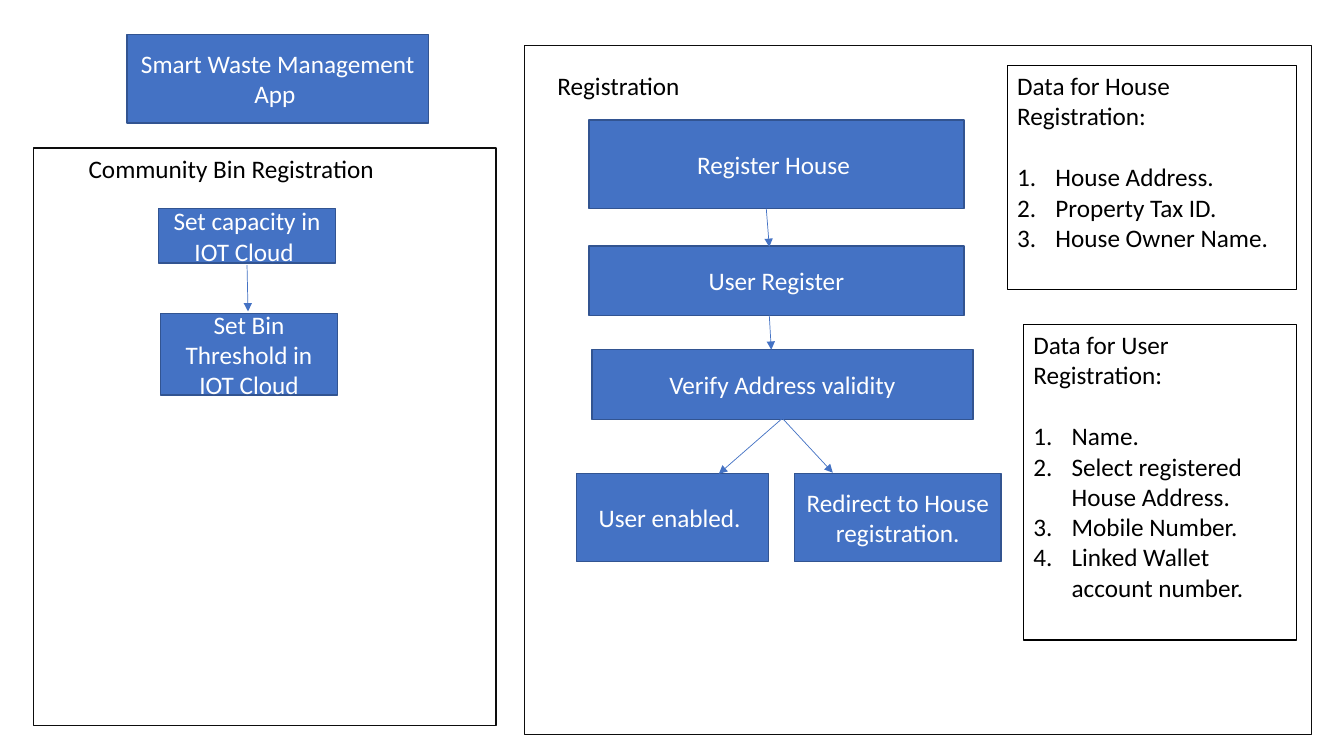
from lxml.etree import SubElement
from pptx import Presentation
from pptx.dml.color import RGBColor
from pptx.enum.shapes import MSO_CONNECTOR, MSO_SHAPE
from pptx.enum.text import MSO_ANCHOR, MSO_AUTO_SIZE, PP_ALIGN
from pptx.oxml.ns import qn
from pptx.util import Inches, Pt

BLUE = RGBColor(0x44, 0x72, 0xC4)
BLUE_EDGE = RGBColor(0x32, 0x54, 0x91)
FRAME_EDGE = RGBColor(0x0D, 0x0D, 0x0D)
BLACK = RGBColor(0, 0, 0)
WHITE = RGBColor(0xFF, 0xFF, 0xFF)

TITLE = ("Smart Waste Management App ", (1.26, 0.34, 2.99, 0.88))
FRAMES = [(5.2, 0.45, 7.81, 6.84), (0.33, 1.47, 4.59, 5.73)]
HEADINGS = [
    ("Registration ", (5.43, 0.65, 1.48, 0.4)),
    ("Community Bin Registration", (0.78, 1.47, 3.68, 0.4)),
]
STEPS = [
    ("Set capacity in IOT Cloud ", (1.57, 2.07, 1.76, 0.54)),
    ("Set Bin Threshold in IOT Cloud", (1.59, 3.11, 1.76, 0.81)),
    ("Register House ", (5.84, 1.19, 3.72, 0.88)),
    ("User Register", (5.84, 2.44, 3.72, 0.69)),
    ("Verify Address validity", (5.87, 3.47, 3.78, 0.69)),
    ("User enabled. ", (5.72, 4.7, 1.9, 0.87)),
    ("Redirect to House registration.", (7.88, 4.7, 2.05, 0.87)),
]
ARROWS = [
    (2.45, 2.63, 2.46, 3.09),
    (7.6, 2.07, 7.63, 2.45),
    (7.63, 3.13, 7.65, 3.47),
    (7.76, 4.15, 7.13, 4.7),
    (7.76, 4.15, 8.26, 4.69),
]
DATA_LISTS = [
    ("Data for House Registration:", (9.99, 0.65, 2.87, 2.22),
     ["House Address.", "Property Tax ID.", "House Owner Name."]),
    ("Data for User Registration:", (10.15, 3.22, 2.71, 3.13),
     ["Name.", "Select registered House Address.", "Mobile Number.",
      "Linked Wallet account number."]),
]


def set_values(target, values):
    for name, value in values.items():
        setattr(target, name, value)


def write(para, text, color, align=PP_ALIGN.LEFT):
    para.alignment = align
    span = para.add_run()
    span.text = text
    set_values(span.font, {"name": "Calibri", "size": Pt(18), "bold": False})
    span.font.color.rgb = color


def outline(box, color, width):
    box.line.color.rgb = color
    box.line.width = Pt(width)


def format_step(box, text):
    """Blue box with white centred text."""
    box.fill.solid()
    box.fill.fore_color.rgb = BLUE
    outline(box, BLUE_EDGE, 1)
    set_values(box.text_frame, {"word_wrap": True, "auto_size": MSO_AUTO_SIZE.NONE,
                                "vertical_anchor": MSO_ANCHOR.MIDDLE})
    write(box.text_frame.paragraphs[0], text, WHITE, PP_ALIGN.CENTER)


def add_rectangle(page, place):
    box = page.shapes.add_shape(MSO_SHAPE.RECTANGLE, *map(Inches, place))
    box.shadow.inherit = False
    return box


def add_frame(page, place, color=FRAME_EDGE, width=1):
    box = add_rectangle(page, place)
    box.fill.background()
    outline(box, color, width)
    return box


def add_title(page, text, place):
    title = page.shapes.title
    set_values(title, dict(zip(("left", "top", "width", "height"), map(Inches, place))))
    format_step(title, text)


def add_heading(page, text, place):
    box = page.shapes.add_textbox(*map(Inches, place))
    box.text_frame.word_wrap = True
    write(box.text_frame.paragraphs[0], text, BLACK)


def add_arrow(page, ends):
    arrow = page.shapes.add_connector(MSO_CONNECTOR.STRAIGHT, *map(Inches, ends))
    outline(arrow, BLUE, 0.5)
    SubElement(arrow.line._get_or_add_ln(), qn("a:tailEnd"), type="triangle")
    SubElement(arrow._element.spPr, qn("a:effectLst"))


def number(para):
    properties = para._p.get_or_add_pPr()
    properties.set("marL", str(Inches(0.38)))
    properties.set("indent", str(-Inches(0.38)))
    SubElement(properties, qn("a:buFont"), typeface="+mj-lt")
    SubElement(properties, qn("a:buAutoNum"), type="arabicPeriod")


def add_data_list(page, heading, place, items):
    frame = add_frame(page, place, BLACK, 0.75).text_frame
    set_values(frame, {"word_wrap": True, "vertical_anchor": MSO_ANCHOR.TOP})
    write(frame.paragraphs[0], heading, BLACK)
    frame.paragraphs[0].space_after = Pt(22)
    for item in items:
        para = frame.add_paragraph()
        write(para, item, BLACK)
        number(para)


def main():
    deck = Presentation()
    set_values(deck, {"slide_width": Inches(13.33), "slide_height": Inches(7.5)})
    page = deck.slides.add_slide(deck.slide_layouts[5])

    # Title and the two process areas
    add_title(page, *TITLE)
    for place in FRAMES:
        add_frame(page, place)
    for text, place in HEADINGS:
        add_heading(page, text, place)

    # Flow steps and their arrows
    for text, place in STEPS:
        format_step(add_rectangle(page, place), text)
    for ends in ARROWS:
        add_arrow(page, ends)

    # Numbered data lists
    for heading, place, items in DATA_LISTS:
        add_data_list(page, heading, place, items)

    deck.save("out.pptx")


main()
